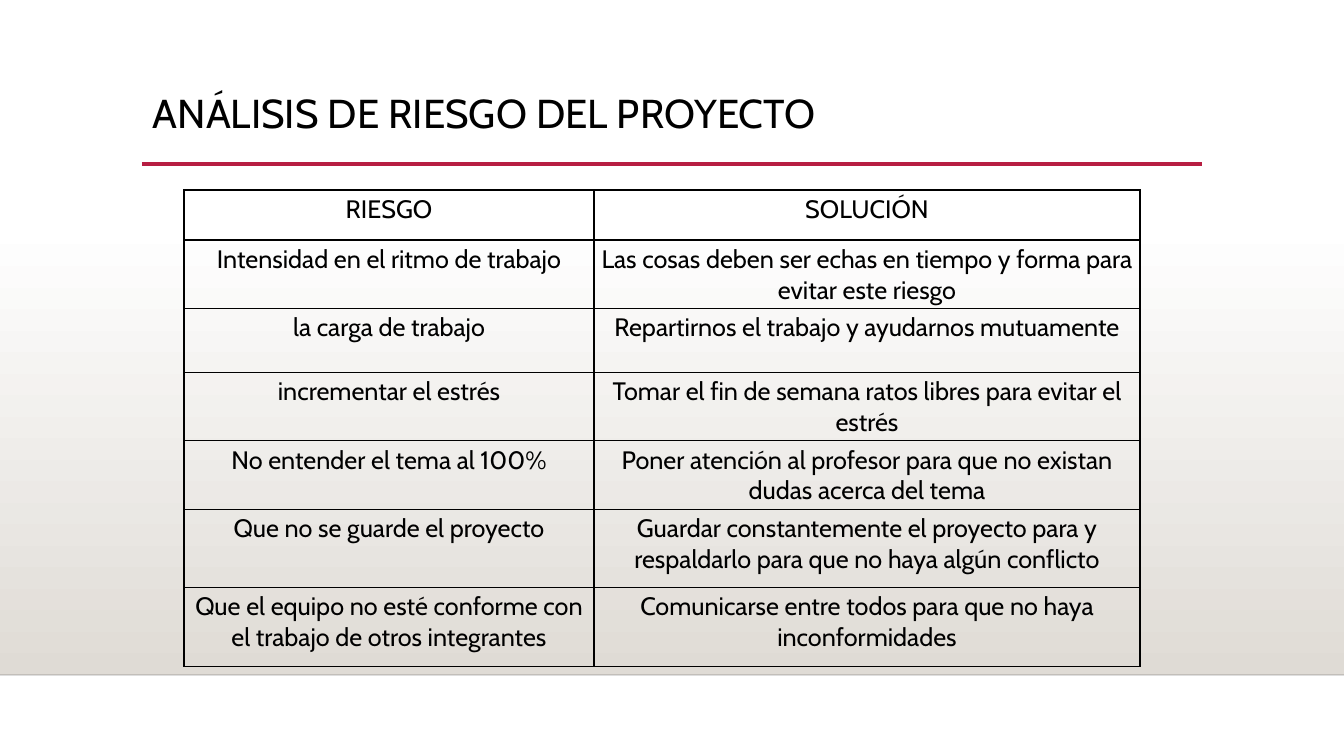
from pptx import Presentation
from pptx.dml.color import RGBColor
from pptx.enum.shapes import MSO_CONNECTOR, MSO_SHAPE
from pptx.enum.text import MSO_ANCHOR, PP_ALIGN
from pptx.oxml.ns import qn
from pptx.util import Pt
from lxml.etree import SubElement

PX = 914400 / 100.8
WIDE, HIGH = 1344, 756
FONT = "Cabin"
BLACK, WHITE, RED, SAND = "000000", "FFFFFF", "B71E42", "DFDBD5"

COLS = [410, 546]
ROWS = [50, 64, 64, 64, 64, 78, 79]
RISKS = [
    ("RIESGO", "SOLUCIÓN"),
    ("Intensidad en el ritmo de trabajo",
     "Las cosas deben ser echas en tiempo y forma para evitar este riesgo"),
    ("la carga de trabajo",
     "Repartirnos el trabajo y ayudarnos mutuamente"),
    ("incrementar el estrés",
     "Tomar el fin de semana ratos libres para evitar el estrés"),
    ("No entender el tema al 100%",
     "Poner atención al profesor para que no existan dudas acerca del tema"),
    ("Que no se guarde el proyecto",
     "Guardar constantemente el proyecto para y respaldarlo para que no haya algún conflicto"),
    ("Que el equipo no esté conforme con el trabajo de otros integrantes",
     "Comunicarse entre todos para que no haya inconformidades"),
]


def px(num):
    return round(num * PX)


def color(code):
    return RGBColor.from_string(code)


def assign(item, values):
    for name, value in values.items():
        setattr(item, name, value)


def write(frame, text, size, form):
    para = frame.paragraphs[0]
    assign(para, form)
    run = para.add_run()
    run.text = text
    assign(run.font, {"name": FONT, "size": Pt(size), "bold": False})
    run.font.color.rgb = color(BLACK)


def rule(slide, left, top, width, code, weight, alpha=None):
    line = slide.shapes.add_connector(
        MSO_CONNECTOR.STRAIGHT, px(left), px(top), px(left + width), px(top))
    line.line.color.rgb = color(code)
    line.line.width = Pt(weight)
    props = line._element.spPr
    if alpha:
        tint = props.find(".//" + qn("a:srgbClr"))
        SubElement(tint, qn("a:alpha")).set("val", str(alpha * 1000))
    SubElement(props, qn("a:effectLst"))


# Shaded floor with a faint lower edge
def floor(slide, left, top, width, height):
    shade = slide.shapes.add_shape(
        MSO_SHAPE.RECTANGLE, px(left), px(top), px(width), px(height))
    shade.shadow.inherit = False
    shade.line.fill.background()
    shade.fill.gradient()
    shade.fill.gradient_angle = 270
    for stop, code in zip(shade.fill.gradient_stops, (WHITE, SAND)):
        stop.color.rgb = color(code)
    rule(slide, left, top + height, width, BLACK, 1, alpha=20)


# Title with the red rule below it
def header(slide, left, top, width, height):
    box = slide.shapes.add_textbox(px(left), px(top), px(width), px(height))
    assign(box.text_frame, {"word_wrap": True, "vertical_anchor": MSO_ANCHOR.TOP})
    write(box.text_frame, "ANÁLISIS DE RIESGO DEL PROYECTO", 28.8,
          {"line_spacing": 0.9})
    rule(slide, left - 1, top + 75, width + 1, RED, 2.5)


def border(cell):
    props = cell._tc.get_or_add_tcPr()
    for spot, side in enumerate(("lnL", "lnR", "lnT", "lnB")):
        edge = props.makeelement(qn("a:" + side), {"w": str(Pt(1))})
        fill = SubElement(edge, qn("a:solidFill"))
        SubElement(fill, qn("a:srgbClr")).set("val", BLACK)
        props.insert(spot, edge)


# Table of risks and solutions
def risks(slide, left, top):
    table = slide.shapes.add_table(
        len(ROWS), len(COLS), px(left), px(top),
        px(sum(COLS)), px(sum(ROWS))).table
    assign(table, {"first_row": False, "horz_banding": False})
    for col, width in zip(table.columns, COLS):
        col.width = px(width)
    pad = dict.fromkeys(
        ("margin_left", "margin_right", "margin_top", "margin_bottom"), px(4))
    form = {"alignment": PP_ALIGN.CENTER,
            "space_before": Pt(12), "space_after": Pt(12)}
    for row, height, texts in zip(table.rows, ROWS, RISKS):
        row.height = px(height)
        for cell, text in zip(row.cells, texts):
            assign(cell, pad)
            cell.fill.background()
            border(cell)
            write(cell.text_frame, text, 18, form)


def main():
    deck = Presentation()
    assign(deck, {"slide_width": px(WIDE), "slide_height": px(HIGH)})
    slide = deck.slides.add_slide(deck.slide_layouts[6])
    floor(slide, 0, 223, WIDE, 452)
    header(slide, 143, 89, 1059, 116)
    risks(slide, 184, 190)
    deck.save("out.pptx")


if __name__ == "__main__":
    main()
